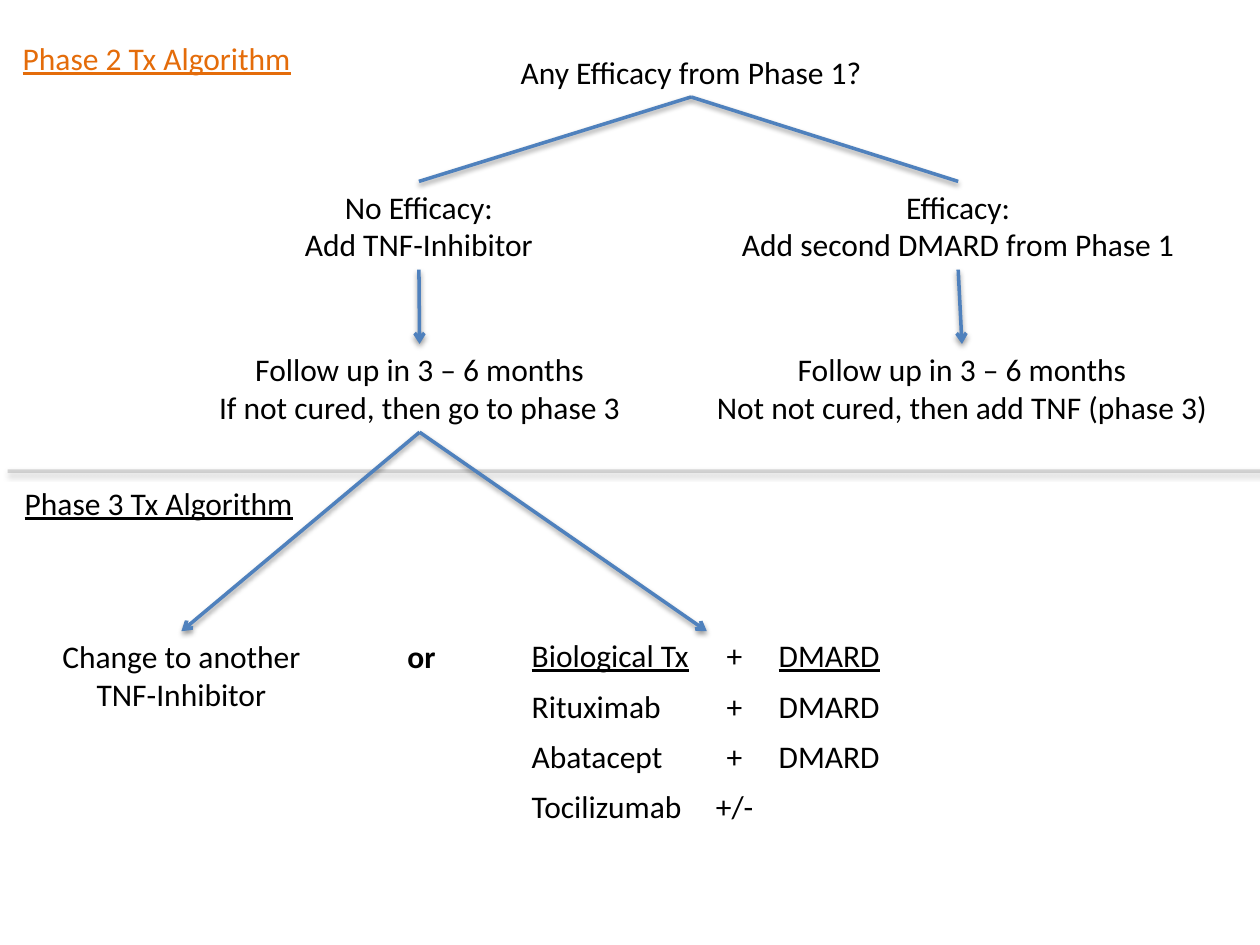
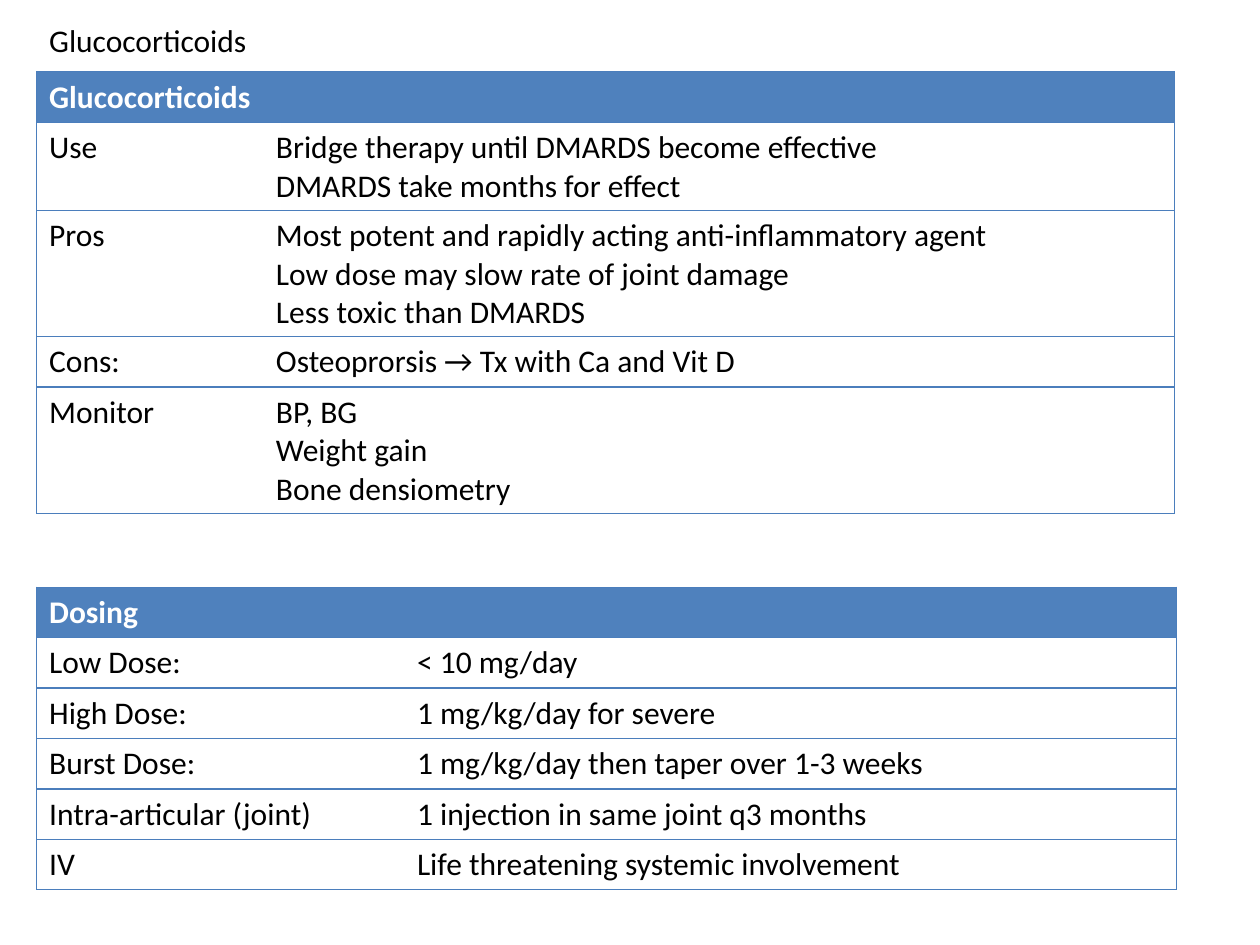
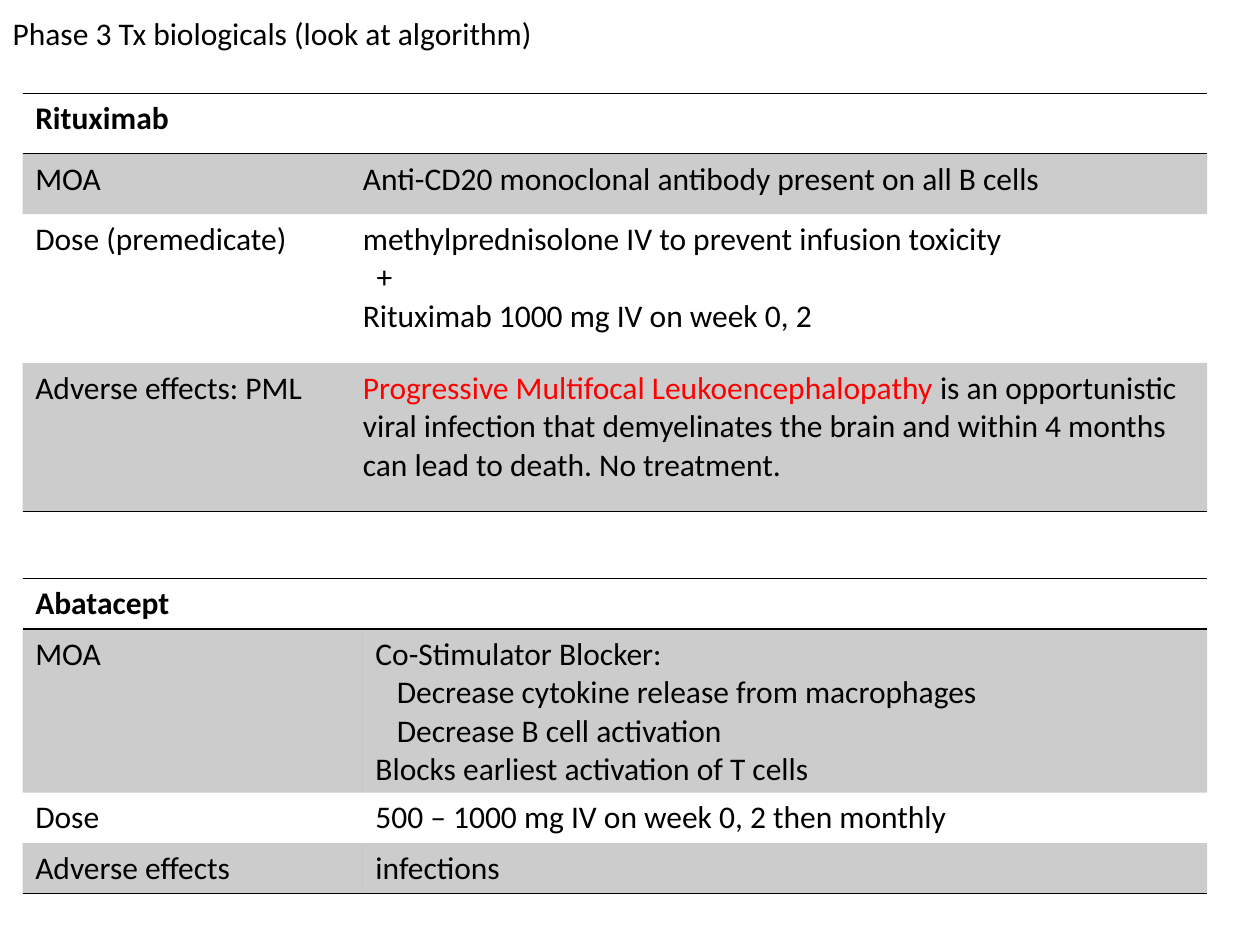
"""Build three slides on arthritis treatment: an algorithm and two pages of drug tables."""
from dataclasses import dataclass

from lxml.etree import SubElement
from pptx import Presentation
from pptx.dml.color import RGBColor
from pptx.enum.shapes import MSO_CONNECTOR
from pptx.enum.text import MSO_ANCHOR, MSO_AUTO_SIZE, PP_ALIGN
from pptx.oxml.ns import qn
from pptx.util import Inches, Pt

BLACK = RGBColor(0x00, 0x00, 0x00)
WHITE = RGBColor(0xFF, 0xFF, 0xFF)
ORANGE = RGBColor(0xE4, 0x6C, 0x0A)
RED = RGBColor(0xFF, 0x00, 0x00)
BLUE = RGBColor(0x4F, 0x81, 0xBD)
BORDER_BLUE = RGBColor(0x4B, 0x7E, 0xBC)
GRAY = RGBColor(0xA6, 0xA6, 0xA6)
FONT = "Calibri"
NO_STYLE = "{2D5ABB26-0587-4C30-8999-92F81FD0307C}"
TOP, BOTTOM = 0, 2


@dataclass(frozen=True)
class Label:
    text: str
    left: float
    top: float
    width: float
    color: RGBColor = BLACK
    bold: bool = False
    underline: bool = False
    align: PP_ALIGN = PP_ALIGN.CENTER


@dataclass(frozen=True)
class TableLook:
    border: RGBColor | None = None
    border_points: float = 1
    framed: bool = False
    header_fill: RGBColor | None = None
    header_color: RGBColor = BLACK
    header_bold: bool = True
    banded: bool = False


@dataclass(frozen=True)
class Grid:
    left: float
    top: float
    columns: tuple[float, ...]
    rows: tuple[tuple[str, ...], ...]
    look: TableLook
    heights: tuple[float, ...] = ()


PLAIN = TableLook(header_bold=False)
BLUE_FRAME = TableLook(BORDER_BLUE, 0.75, framed=True, header_fill=BLUE, header_color=WHITE)
GRAY_BANDS = TableLook(BLACK, 1, banded=True)


def text_height(text: str) -> float:
    """Return the inches that the lines of a text need, insets included."""
    return 0.1 + 0.3 * (text.count("\n") + 1)


def format_paragraph(paragraph, color: RGBColor = BLACK, bold: bool = False,
                     underline: bool = False, align: PP_ALIGN = PP_ALIGN.LEFT) -> None:
    """Give a paragraph the shared font and its own accents."""
    paragraph.alignment = align
    font = paragraph.font
    font.name, font.size = FONT, Pt(18)
    font.bold, font.underline = bold, underline
    font.color.rgb = color


def indent_paragraph(paragraph, inches: float) -> None:
    """Move a paragraph in from the left."""
    paragraph._p.get_or_add_pPr().set("marL", str(Inches(inches)))


def set_alpha(parent, percent: int) -> None:
    """Make the solid fill inside an XML element partly transparent."""
    SubElement(parent.find(qn("a:solidFill"))[0], qn("a:alpha"), val=str(percent * 1000))


def fill_label(shape, label: Label) -> None:
    """Place a text shape and write its label."""
    shape.left, shape.top = Inches(label.left), Inches(label.top)
    shape.width, shape.height = Inches(label.width), Inches(text_height(label.text))
    frame = shape.text_frame
    frame.text = label.text
    frame.word_wrap = False
    frame.auto_size = MSO_AUTO_SIZE.SHAPE_TO_FIT_TEXT
    frame.vertical_anchor = MSO_ANCHOR.TOP
    for paragraph in frame.paragraphs:
        format_paragraph(paragraph, label.color, label.bold, label.underline, label.align)


def add_label(slide, label: Label):
    """Add a text box for a label."""
    shape = slide.shapes.add_textbox(0, 0, 0, 0)
    fill_label(shape, label)
    return shape


def add_titled_slide(presentation, title: Label):
    """Add a slide with its title placeholder filled."""
    slide = presentation.slides.add_slide(presentation.slide_layouts[5])
    fill_label(slide.shapes.title, title)
    return slide


def add_line(slide, start: tuple[float, float], end: tuple[float, float],
             color: RGBColor = BLUE, arrow: bool = False):
    """Add a straight line with a soft shadow and an optional arrowhead."""
    connector = slide.shapes.add_connector(
        MSO_CONNECTOR.STRAIGHT, *(Inches(value) for value in start + end))
    connector.line.color.rgb = color
    connector.line.width = Pt(2)
    properties = connector._element.spPr
    if arrow:
        SubElement(properties.find(qn("a:ln")), qn("a:tailEnd"), type="arrow")
    effects = SubElement(properties, qn("a:effectLst"))
    shadow = SubElement(effects, qn("a:outerShdw"), blurRad=str(Pt(3.1)), dist=str(Pt(1.6)),
                        dir="5400000", rotWithShape="0")
    shadow_color = SubElement(shadow, qn("a:srgbClr"), val=str(BLACK))
    SubElement(shadow_color, qn("a:alpha"), val="38000")
    return connector


def join(slide, upper, lower, arrow: bool) -> None:
    """Link the bottom of one box to the top of another."""
    connector = add_line(slide, (0, 0), (0, 0), arrow=arrow)
    connector.begin_connect(upper, BOTTOM)
    connector.end_connect(lower, TOP)


def set_borders(cell, look: TableLook, sides: dict[str, bool]) -> None:
    """Draw the chosen sides of a cell."""
    properties = cell._tc.get_or_add_tcPr()
    for side, shown in sides.items():
        if shown:
            line = SubElement(properties, qn(f"a:ln{side}"), w=str(Pt(look.border_points)))
            solid = SubElement(line, qn("a:solidFill"))
            SubElement(solid, qn("a:srgbClr"), val=str(look.border))


def format_cell(cell, look: TableLook, row: int, column: int, last_row: int,
                last_column: int) -> None:
    """Give a cell the borders, fill and font of its place in the table."""
    if look.border is not None:
        set_borders(cell, look, {
            "L": look.framed and column == 0,
            "R": look.framed and column == last_column,
            "T": row == 0,
            "B": look.framed or row in (0, last_row),
        })
    if row == 0 and look.header_fill is not None:
        cell.fill.solid()
        cell.fill.fore_color.rgb = look.header_fill
    elif look.banded and row % 2 == 1:
        cell.fill.solid()
        cell.fill.fore_color.rgb = BLACK
        set_alpha(cell._tc.tcPr, 20)
    else:
        cell.fill.background()
    for paragraph in cell.text_frame.paragraphs:
        if row == 0:
            format_paragraph(paragraph, look.header_color, look.header_bold)
        else:
            format_paragraph(paragraph)


def add_grid(slide, grid: Grid):
    """Add a table and return it."""
    heights = grid.heights or tuple(max(map(text_height, row)) for row in grid.rows)
    table = slide.shapes.add_table(
        len(grid.rows), len(grid.columns), Inches(grid.left), Inches(grid.top),
        Inches(sum(grid.columns)), Inches(sum(heights))).table
    table._tbl.tblPr.find(qn("a:tableStyleId")).text = NO_STYLE
    table.first_row = table.horz_banding = False
    for column, width in zip(table.columns, grid.columns):
        column.width = Inches(width)
    for row, height in zip(table.rows, heights):
        row.height = Inches(height)
    for row, texts in enumerate(grid.rows):
        for column, text in enumerate(texts):
            cell = table.cell(row, column)
            cell.text = text
            format_cell(cell, grid.look, row, column, len(grid.rows) - 1, len(texts) - 1)
    return table


def build_algorithm(presentation) -> None:
    """Build the phase 2 and phase 3 decision tree."""
    slide = add_titled_slide(presentation, Label(
        "Phase 2 Tx Algorithm", 0.08, 0.26, 2.36, ORANGE, underline=True, align=PP_ALIGN.LEFT))
    question = add_label(slide, Label("Any Efficacy from Phase 1?", 4.01, 0.37, 2.95))
    no_efficacy = add_label(slide, Label("No Efficacy:\nAdd TNF-Inhibitor", 2.31, 1.44, 2.03))
    efficacy = add_label(slide, Label(
        "Efficacy:\nAdd second DMARD from Phase 1", 5.77, 1.44, 3.67))
    not_cured = add_label(slide, Label(
        "Follow up in 3 – 6 months\nIf not cured, then go to phase 3", 1.62, 2.73, 3.42))
    add_tnf = add_label(slide, Label(
        "Follow up in 3 – 6 months\nNot not cured, then add TNF (phase 3)", 5.54, 2.73, 4.19))

    divider = add_line(slide, (0.06, 3.74), (10.06, 3.74), GRAY)
    set_alpha(divider._element.spPr.find(qn("a:ln")), 43)
    add_label(slide, Label("Phase 3 Tx Algorithm", 0.08, 3.79, 2.36, underline=True))
    change = add_label(slide, Label("Change to another\nTNF-Inhibitor", 0.38, 5.01, 2.12))
    add_label(slide, Label("or", 3.13, 5.01, 0.43, bold=True))

    table = add_grid(slide, Grid(4.12, 5.01, (1.46, 0.5, 1.01), (
        ("Biological Tx", "+", "DMARD"),
        ("Rituximab", "+", "DMARD"),
        ("Abatacept", "+", "DMARD"),
        ("Tocilizumab", "+/-", ""),
    ), PLAIN))
    for column in (0, 2):
        table.cell(0, column).text_frame.paragraphs[0].font.underline = True
    for row in range(4):
        table.cell(row, 1).text_frame.paragraphs[0].alignment = PP_ALIGN.CENTER

    for upper, lower, arrow in (
        (question, no_efficacy, False),
        (question, efficacy, False),
        (no_efficacy, not_cured, True),
        (efficacy, add_tnf, True),
        (not_cured, change, True),
    ):
        join(slide, upper, lower, arrow)
    to_biologicals = add_line(slide, (3.33, 3.44), (5.61, 5.01), arrow=True)
    to_biologicals.begin_connect(not_cured, BOTTOM)


def build_glucocorticoids(presentation) -> None:
    """Build the glucocorticoid and dosing tables."""
    slide = add_titled_slide(presentation, Label(
        "Glucocorticoids", 0.29, 0.12, 1.79, align=PP_ALIGN.LEFT))
    add_grid(slide, Grid(0.29, 0.57, (1.8, 7.23), (
        ("Glucocorticoids", ""),
        ("Use", "Bridge therapy until DMARDS become effective\nDMARDS take months for effect"),
        ("Pros", "Most potent and rapidly acting anti-inflammatory agent\n"
                 "Low dose may slow rate of joint damage\nLess toxic than DMARDS"),
        ("Cons:", "Osteoprorsis → Tx with Ca and Vit D"),
        ("Monitor", "BP, BG\nWeight gain\nBone densiometry"),
    ), BLUE_FRAME))
    add_grid(slide, Grid(0.29, 4.66, (2.92, 6.13), (
        ("Dosing", ""),
        ("Low Dose:", "< 10 mg/day"),
        ("High Dose:", "1 mg/kg/day for severe"),
        ("Burst Dose:", "1 mg/kg/day then taper over 1-3 weeks"),
        ("Intra-articular (joint)", "1 injection in same joint q3 months"),
        ("IV", "Life threatening systemic involvement"),
    ), BLUE_FRAME))


def build_biologicals(presentation) -> None:
    """Build the rituximab and abatacept tables."""
    slide = add_titled_slide(presentation, Label(
        "Phase 3 Tx biologicals (look at algorithm)", 0, 0.06, 4.38, align=PP_ALIGN.LEFT))
    rituximab = add_grid(slide, Grid(0.18, 0.74, (2.6, 6.8), (
        ("Rituximab", ""),
        ("MOA", "Anti-CD20 monoclonal antibody present on all B cells"),
        ("Dose (premedicate)", "methylprednisolone IV to prevent infusion toxicity\n+\n"
                               "Rituximab 1000 mg IV on week 0, 2"),
        ("Adverse effects: PML", "Progressive Multifocal Leukoencephalopathy "),
    ), GRAY_BANDS, (0.48, 0.48, 1.18, 1.18)))
    indent_paragraph(rituximab.cell(2, 1).text_frame.paragraphs[1], 0.11)
    warning = rituximab.cell(3, 1).text_frame.paragraphs[0]
    warning.runs[0].font.color.rgb = RED
    warning.add_run().text = ("is an opportunistic viral infection that demyelinates the brain "
                              "and within 4 months can lead to death. No treatment.")

    abatacept = add_grid(slide, Grid(0.18, 4.59, (2.7, 6.7), (
        ("Abatacept", ""),
        ("MOA", "Co-Stimulator Blocker:\nDecrease cytokine release from macrophages\n"
                "Decrease B cell activation\nBlocks earliest activation of T cells"),
        ("Dose", "500 – 1000 mg IV on week 0, 2 then monthly"),
        ("Adverse effects", "infections"),
    ), GRAY_BANDS))
    for paragraph in abatacept.cell(1, 1).text_frame.paragraphs[1:3]:
        indent_paragraph(paragraph, 0.17)


def main() -> None:
    """Build and save the presentation."""
    presentation = Presentation()
    presentation.slide_width, presentation.slide_height = Inches(10), Inches(7.5)
    build_algorithm(presentation)
    build_glucocorticoids(presentation)
    build_biologicals(presentation)
    presentation.save("out.pptx")


if __name__ == "__main__":
    main()
